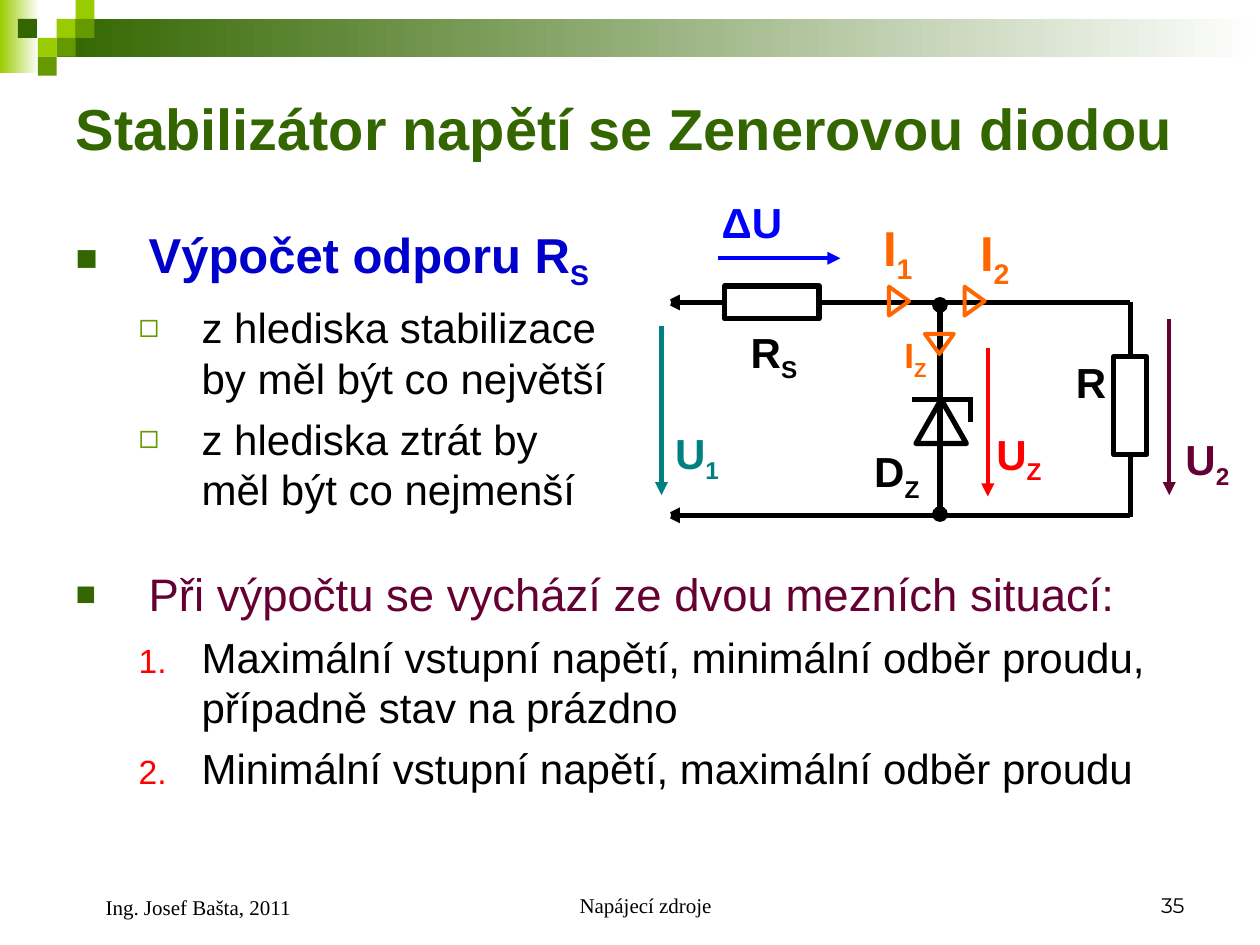
from pptx import Presentation
from pptx import util as u
from pptx.dml.color import RGBColor
from pptx.enum import shapes, text
from pptx.oxml.ns import qn
from lxml import etree

BLACK = RGBColor(0x00, 0x00, 0x00)
WHITE = RGBColor(0xFF, 0xFF, 0xFF)
GREEN = RGBColor(0x33, 0x66, 0x00)
LEAF = RGBColor(0x66, 0x99, 0x00)
LIME = RGBColor(0x99, 0xCC, 0x00)
NAVY = RGBColor(0x00, 0x00, 0xCC)
BLUE = RGBColor(0x00, 0x00, 0xFF)
TEAL = RGBColor(0x00, 0x80, 0x80)
RED = RGBColor(0xFF, 0x00, 0x00)
ORANGE = RGBColor(0xFF, 0x66, 0x00)
PLUM = RGBColor(0x66, 0x00, 0x33)

RECT = shapes.MSO_SHAPE.RECTANGLE
TRIANGLE = shapes.MSO_SHAPE.ISOSCELES_TRIANGLE
OVAL = shapes.MSO_SHAPE.OVAL
LEFT, CENTER, RIGHT = text.PP_ALIGN.LEFT, text.PP_ALIGN.CENTER, text.PP_ALIGN.RIGHT
MIDDLE, TOP, BOTTOM = text.MSO_ANCHOR.MIDDLE, text.MSO_ANCHOR.TOP, text.MSO_ANCHOR.BOTTOM
COLUMNS, ROWS = 100, 75

# Per level: margin, hanging indent, bullet colour, bullet size in percent
LEVELS = [(5.8, 5.8, GREEN, 75), (10, 5, LEAF, 80)]


def apply(target, values):
    for name, value in values.items():
        setattr(target, name, value)


class Board:
    """Current slide on a 100 x 75 grid, with its drawing style."""

    def __init__(self, deck):
        self.slide = deck.slides.add_slide(deck.slide_layouts[1])
        self.column = deck.slide_width / COLUMNS
        self.row = deck.slide_height / ROWS

    def grid(self, *lengths):
        steps = (self.column, self.row)
        return [u.Emu(round(n * steps[i % 2])) for i, n in enumerate(lengths)]

    def shape(self, kind, at, fill=None, line=None, width=3, turn=0):
        item = self.slide.shapes.add_shape(kind, *self.grid(*at))
        item.shadow.inherit = False
        item.rotation = turn
        if fill is None:
            item.fill.background()
        elif isinstance(fill, RGBColor):
            item.fill.solid()
            item.fill.fore_color.rgb = fill
        else:
            item.fill.gradient()
            item.fill.gradient_angle = 0
            for stop, color in zip(item.fill.gradient_stops, fill):
                stop.color.rgb = color
        if line is None:
            item.line.fill.background()
        else:
            item.line.color.rgb = line
            item.line.width = u.Pt(width)
        return item

    def wire(self, start, end, color=BLACK, width=3, head=None, tail=None,
             leaves=None, reaches=None):
        item = self.slide.shapes.add_connector(
            shapes.MSO_CONNECTOR.STRAIGHT, *self.grid(*start, *end))
        if leaves:
            item.begin_connect(*leaves)
        if reaches:
            item.end_connect(*reaches)
        item.line.color.rgb = color
        item.line.width = u.Pt(width)
        props = item._element.spPr
        for tag, tip in (("a:headEnd", head), ("a:tailEnd", tail)):
            if tip:
                etree.SubElement(props.find(qn("a:ln")), qn(tag), type=tip)
        etree.SubElement(props, qn("a:effectLst"))

    def add_words(self, paragraph, words, size, color, bold=False, sub="", font="Arial"):
        for n, row in enumerate(words.split("\n")):
            if n:
                paragraph.add_line_break()
            self.add_piece(paragraph, row, size, color, bold, font)
        if sub:
            low = self.add_piece(paragraph, sub, size, color, bold, font)
            low._r.get_or_add_rPr().set("baseline", "-25000")

    def add_piece(self, paragraph, words, size, color, bold, font):
        piece = paragraph.add_run()
        piece.text = words
        apply(piece.font, {"name": font, "size": u.Pt(size), "bold": bold})
        piece.font.color.rgb = color
        return piece

    def label(self, at, words, size=24, color=BLACK, bold=True, sub="",
              font="Arial", align=LEFT, anchor=TOP, indent=0):
        frame = self.slide.shapes.add_textbox(*self.grid(*at)).text_frame
        apply(frame, {"word_wrap": True, "vertical_anchor": anchor})
        line = frame.paragraphs[0]
        line.alignment = align
        if indent:
            line._p.get_or_add_pPr().set("marL", str(self.grid(indent)[0]))
        self.add_words(line, words, size, color, bold, sub, font)

    def place(self, holder, at, anchor):
        apply(holder, dict(zip(("left", "top", "width", "height"), self.grid(*at))))
        apply(holder.text_frame, {"word_wrap": True, "vertical_anchor": anchor,
                                  "auto_size": text.MSO_AUTO_SIZE.NONE})
        return holder.text_frame

    def title(self, at, words, size, color):
        line = self.place(self.slide.shapes.title, at, MIDDLE).paragraphs[0]
        line.alignment = LEFT
        self.add_words(line, words, size, color, True)

    def bullets(self, at, items):
        frame = self.place(self.slide.placeholders[1], at, TOP)
        for n, (level, mark, before, style) in enumerate(items):
            line = frame.add_paragraph() if n else frame.paragraphs[0]
            margin, hang, color, share = LEVELS[level]
            props = line._p.get_or_add_pPr()
            props.set("marL", str(self.grid(margin)[0]))
            props.set("indent", str(-self.grid(hang)[0]))
            tint = etree.SubElement(props, qn("a:buClr"))
            etree.SubElement(tint, qn("a:srgbClr"), val=str(RED if mark == "1." else color))
            etree.SubElement(props, qn("a:buSzPct"), val=str(share * 1000))
            etree.SubElement(props, qn("a:buFont"), typeface="Arial")
            if mark == "1.":
                etree.SubElement(props, qn("a:buAutoNum"), type="arabicPeriod")
            else:
                etree.SubElement(props, qn("a:buChar"), char=mark)
            apply(line, {"level": level, "space_before": u.Pt(before)})
            self.add_words(line, **style)


def point(words):
    return {"words": words, "size": 24, "color": BLACK}


def main():
    deck = Presentation()
    deck.slide_width, deck.slide_height = u.Inches(10), u.Inches(7.5)
    board = Board(deck)

    # Header band and its mosaic of squares
    board.shape(RECT, (0, 0, 3.1, 5.8), (LIME, WHITE))
    board.shape(RECT, (4.5, 1.5, 95.5, 3), (GREEN, WHITE))
    for column, row, color in ((3, 1, LIME), (4, 0, LIME), (4, 1, LEAF), (2, 2, LIME),
                               (0.95, 1, GREEN), (3, 2, LEAF), (2, 3, LEAF)):
        board.shape(RECT, (column * 1.5, row * 1.5, 1.5, 1.5), color)

    # Title and list
    board.title((5, 5, 90, 10.3), "Stabilizátor napětí se Zenerovou diodou", 33, GREEN)
    board.bullets((5, 17.3, 90, 48.8), [
        (0, "■", 0, {"words": "Výpočet odporu R", "size": 28, "color": NAVY,
                     "bold": True, "sub": "S"}),
        (1, "◻", 6, point("z hlediska stabilizace\nby měl být co největší")),
        (1, "◻", 6, point("z hlediska ztrát by\nměl být co nejmenší")),
        (0, "■", 30, {"words": "Při výpočtu se vychází ze dvou mezních situací:",
                      "size": 26, "color": PLUM}),
        (1, "1.", 6, point("Maximální vstupní napětí, minimální odběr proudu, "
                           "případně stav na prázdno")),
        (1, "1.", 6, point("Minimální vstupní napětí, maximální odběr proudu")),
    ])

    # Zener diode branch
    board.wire((74.6, 40.8), (74.6, 24.2), head="oval", tail="oval")
    board.shape(TRIANGLE, (72.7, 31.7, 4, 3.5), line=BLACK)
    board.wire((77.2, 31.7), (72.4, 31.7))
    board.wire((77, 33.5), (77, 31.6))

    # Resistors and the wires around them
    series = board.shape(RECT, (57.5, 22.7, 7.5, 2.6), line=BLACK)
    load = board.shape(RECT, (88.4, 28.3, 2.6, 7.8), line=BLACK)
    board.wire((52.7, 24), (57.5, 24), head="triangle", reaches=(series, 1))
    board.wire((65, 24), (89.7, 24), leaves=(series, 3))
    board.wire((89.7, 24), (89.7, 28.3), reaches=(load, 0))
    board.wire((89.7, 36.1), (89.7, 41), leaves=(load, 2))
    board.wire((55.5, 40.9), (89.7, 40.9))
    board.wire((52.7, 40.9), (57.5, 40.9), head="triangle")
    for row in (23.5, 40.4):
        board.shape(OVAL, (52.2, row, 1, 1), WHITE, WHITE, 0.75)

    # Current directions
    for left, top, turn in ((76.2, 23.1, 90), (73.4, 26.5, 180), (70.2, 23.1, 90)):
        board.shape(TRIANGLE, (left, top, 2.3, 1.6), line=ORANGE, width=2.25, turn=turn)

    # Voltage arrows
    for start, end, color in (((52.5, 25.9), (52.5, 39.3), TEAL),
                              ((78.4, 27.6), (78.4, 39.4), RED),
                              ((57, 20.5), (66.7, 20.5), BLUE),
                              ((92.8, 25.3), (92.8, 39.3), PLUM)):
        board.wire(start, end, color, 2.5, tail="triangle")

    # Circuit labels
    for at, words, sub, size, color in (
            ((93.1, 33.9, 6.9, 5.6), "U", "2", 24, PLUM),
            ((52.6, 33.4, 8.7, 5.6), "U", "1", 24, TEAL),
            ((78.1, 33.5, 7.4, 5.6), "U", "Z", 24, RED),
            ((68.4, 34.9, 6.7, 5.6), "D", "Z", 24, BLACK),
            ((56.3, 15.1, 11.4, 5), "ΔU", "", 24, BLUE),
            ((76.8, 17.2, 4.7, 6.3), "I", "2", 28, ORANGE),
            ((70.8, 26, 4.3, 4.8), "I", "Z", 20, ORANGE),
            ((69.1, 16.8, 7.2, 6.3), "I", "1", 28, ORANGE),
            ((58.6, 25.4, 6.7, 5.6), "R", "S", 24, BLACK),
            ((84.4, 27.8, 4, 5), "R", "", 24, BLACK)):
        board.label(at, words, size, color, sub=sub)

    # Footer
    for at, words, font, align, indent in (
            ((34.2, 68.3, 31.7, 5), "Napájecí zdroje", "Times New Roman", CENTER, 2.4),
            ((71.7, 68.3, 23.3, 5), "35", "Montserrat", RIGHT, 0),
            ((5, 68.3, 23.3, 5.2), "Ing. Josef Bašta, 2011", "Times New Roman", LEFT, 2.4)):
        board.label(at, words, 12, bold=False, font=font, align=align,
                    anchor=BOTTOM, indent=indent)

    deck.save("out.pptx")


if __name__ == "__main__":
    main()
